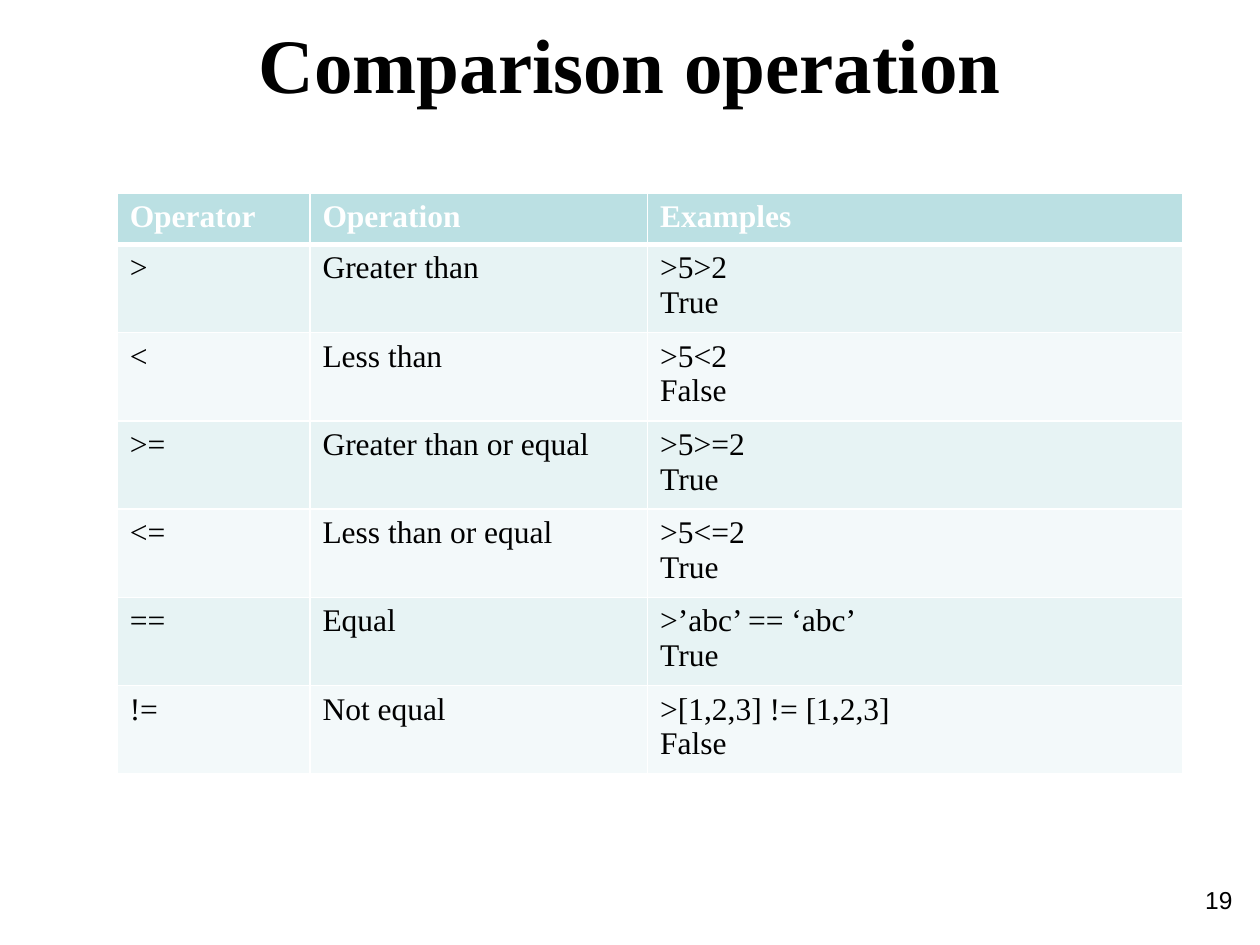
from lxml import etree
from pptx import Presentation
from pptx.dml.color import RGBColor
from pptx.enum import text
from pptx.oxml import ns
from pptx import util as u

WIDTH, HEIGHT = 10, 7.5
OPERATIONS = [
    (">", "Greater than", ">5>2\nTrue"),
    ("<", "Less than", ">5<2\nFalse"),
    (">=", "Greater than or equal", ">5>=2\nTrue"),
    ("<=", "Less than or equal", ">5<=2\nTrue"),
    ("==", "Equal", ">’abc’ == ‘abc’\nTrue"),
    ("!=", "Not equal", ">[1,2,3] != [1,2,3]\nFalse"),
]


def color(value):
    return RGBColor.from_string(value)


class Deck:
    serif, sans = "Times New Roman", "Arial"
    ink, paper = "000000", "FFFFFF"
    header, bands = "BBE0E3", ("E7F3F4", "F3F9FA")

    def __init__(self):
        self.presentation = Presentation()
        self.presentation.slide_width = u.Inches(WIDTH)
        self.presentation.slide_height = u.Inches(HEIGHT)
        self.slide = self.presentation.slides.add_slide(self.presentation.slide_layouts[6])

    def place(self, left, top, width, height):
        return (u.Inches(WIDTH * left), u.Inches(HEIGHT * top),
                u.Inches(WIDTH * width), u.Inches(HEIGHT * height))

    def fill_text(self, frame, words, size, font, ink, bold=False, align=None):
        frame.text = words
        for paragraph in frame.paragraphs:
            paragraph.alignment = align
            for run in paragraph.runs:
                run.font.size = u.Pt(size)
                run.font.name = font
                run.font.bold = bold
                run.font.color.rgb = color(ink)

    def label(self, area, words, size, font, align, anchor, bold=False):
        frame = self.slide.shapes.add_textbox(*self.place(*area)).text_frame
        frame.word_wrap = True
        frame.vertical_anchor = anchor
        self.fill_text(frame, words, size, font, self.ink, bold, align)

    def border(self, cell, bottom):
        properties = cell._tc.get_or_add_tcPr()
        sides = {"lnL": 1, "lnR": 1, "lnT": 1, "lnB": bottom}
        for position, (side, points) in enumerate(sides.items()):
            line = etree.Element(ns.qn(f"a:{side}"), w=str(u.Pt(points)))
            fill = etree.SubElement(line, ns.qn("a:solidFill"))
            etree.SubElement(fill, ns.qn("a:srgbClr"), val=self.paper)
            properties.insert(position, line)

    def table(self, area, columns, rows, records):
        grid = self.slide.shapes.add_table(len(rows), len(columns), *self.place(*area)).table
        for column, width in zip(grid.columns, columns):
            column.width = u.Inches(WIDTH * width)
        for index, (row, height, record) in enumerate(zip(grid.rows, rows, records)):
            row.height = u.Inches(HEIGHT * height)
            heading = index == 0
            ink = self.paper if heading else self.ink
            shade = self.header if heading else self.bands[(index - 1) % 2]
            for cell, words in zip(row.cells, record):
                self.fill_text(cell.text_frame, words, 18, self.serif, ink, heading)
                cell.fill.solid()
                cell.fill.fore_color.rgb = color(shade)
                self.border(cell, 3 if heading else 1)


def main():
    deck = Deck()
    deck.label((0, 0.07 / HEIGHT, 1, 0.84 / HEIGHT), "Comparison operation", 44,
               deck.serif, text.PP_ALIGN.CENTER, text.MSO_ANCHOR.BOTTOM, True)
    deck.label((0.755, 0.93, 0.233, 0.07), "19", 14,
               deck.sans, text.PP_ALIGN.RIGHT, text.MSO_ANCHOR.TOP)
    heights = [0.41 / HEIGHT] + [0.7 / HEIGHT] * len(OPERATIONS)
    deck.table((0.093, 1.53 / HEIGHT, 0.846, sum(heights)), (0.153, 0.268, 0.425),
               heights, [("Operator", "Operation", "Examples")] + OPERATIONS)
    deck.presentation.save("out.pptx")


if __name__ == "__main__":
    main()
